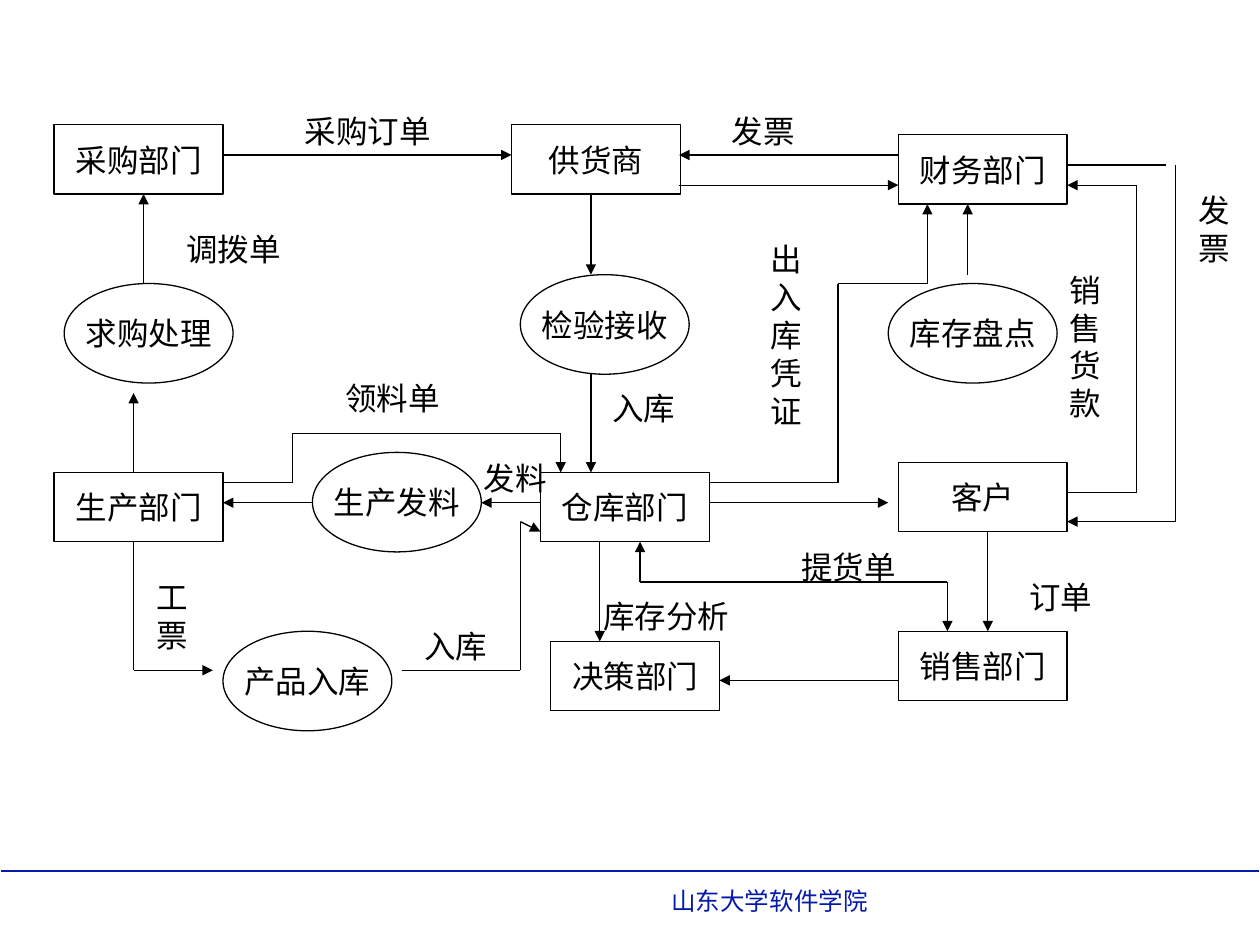
"""Build the slide with the flow of documents between a manufacturer's departments."""
from dataclasses import dataclass
from itertools import pairwise

from lxml.etree import SubElement
from pptx import Presentation
from pptx.dml.color import RGBColor
from pptx.enum.shapes import MSO_CONNECTOR, MSO_SHAPE
from pptx.enum.text import MSO_ANCHOR, PP_ALIGN
from pptx.oxml.ns import qn
from pptx.slide import Slide
from pptx.text.text import TextFrame
from pptx.util import Inches, Pt


@dataclass(frozen=True)
class Theme:
    font: str = "Arial"
    ink: RGBColor = RGBColor(0x00, 0x00, 0x00)
    accent: RGBColor = RGBColor(0x06, 0x1A, 0xAA)
    body_size: float = 18
    footer_size: float = 14
    line_width: float = 0.75
    footer_line_width: float = 1


@dataclass(frozen=True)
class Node:
    name: str
    left: float
    top: float


@dataclass(frozen=True)
class Label:
    wording: str
    left: float
    top: float
    width: float
    height: float = 0.4


@dataclass(frozen=True)
class Route:
    points: tuple[tuple[float, float], ...]
    arrow_at_end: bool = True
    arrow_at_start: bool = False


THEME = Theme()
NODE_WIDTH = 1.34
DEPARTMENT_HEIGHT = 0.55
PROCESS_HEIGHT = 0.79

DEPARTMENTS = (
    Node("采购部门", 0.43, 0.99),
    Node("供货商", 4.06, 0.99),
    Node("财务部门", 7.13, 1.07),
    Node("生产部门", 0.43, 3.75),
    Node("仓库部门", 4.29, 3.75),
    Node("客户", 7.13, 3.67),
    Node("决策部门", 4.37, 5.09),
    Node("销售部门", 7.13, 5.01),
)
PROCESSES = (
    Node("求购处理", 0.51, 2.25),
    Node("检验接收", 4.13, 2.18),
    Node("库存盘点", 7.05, 2.25),
    Node("生产发料", 2.48, 3.59),
    Node("产品入库", 1.77, 5.01),
)
ROUTES = (
    Route(((1.77, 1.23), (4.06, 1.23))),
    Route(((5.39, 1.47), (7.13, 1.47))),
    Route(((7.13, 1.23), (5.39, 1.23))),
    Route(((1.14, 2.25), (1.14, 1.54))),
    Route(((1.06, 3.75), (1.06, 3.12))),
    Route(((1.06, 4.3), (1.06, 5.32), (1.69, 5.32))),
    Route(((2.48, 3.99), (1.77, 3.99))),
    Route(((4.29, 3.99), (3.82, 3.99))),
    Route(((4.69, 1.54), (4.69, 2.18))),
    Route(((4.69, 2.96), (4.69, 3.75))),
    Route(((5.63, 3.99), (7.05, 3.99))),
    Route(((4.76, 4.3), (4.76, 5.09))),
    Route(((7.84, 4.22), (7.84, 5.01))),
    Route(((1.77, 3.83), (2.32, 3.83), (2.32, 3.44), (4.45, 3.44), (4.45, 3.75))),
    Route(((5.63, 3.83), (6.65, 3.83), (6.65, 2.25), (7.36, 2.25), (7.36, 1.62))),
    Route(((7.68, 2.18), (7.68, 1.62))),
    Route(((8.47, 3.91), (9.02, 3.91), (9.02, 1.47), (8.47, 1.47))),
    Route(((8.47, 1.31), (9.25, 1.31)), arrow_at_end=False),
    Route(((9.33, 1.31), (9.33, 4.14), (8.47, 4.14))),
    Route(((5.08, 4.3), (5.08, 4.62), (7.52, 4.62), (7.52, 5.01)), arrow_at_start=True),
    Route(((3.19, 5.32), (4.13, 5.32), (4.13, 4.14), (4.29, 4.22))),
    Route(((7.13, 5.4), (5.71, 5.4))),
)
LABELS = (
    Label("调拨单", 1.38, 1.78, 1.26),
    Label("采购订单", 2.32, 0.84, 1.5),
    Label("发票", 5.71, 0.84, 1.26),
    Label("出入库凭证", 6.02, 1.86, 0.63, 1.6),
    Label("入库", 4.76, 3.04, 0.94),
    Label("销售货款", 8.39, 2.1, 0.63, 1.3),
    Label("工票", 1.14, 4.54, 0.47, 0.7),
    Label("领料单", 2.64, 2.96, 1.34),
    Label("发料", 3.74, 3.59, 0.71),
    Label("入库", 3.27, 4.93, 0.87),
    Label("库存分析", 4.69, 4.69, 1.26),
    Label("提货单", 6.26, 4.3, 1.1),
    Label("订单", 8.07, 4.54, 1.02),
    Label("发票", 9.41, 1.47, 0.59, 0.7),
)
FOOTER_ROUTE = Route(((0.01, 6.91), (9.99, 6.91)), arrow_at_end=False)
FOOTER = Label("山东大学软件学院", 5.23, 6.98, 4.33, 0.34)


def write(frame: TextFrame, wording: str, size: float, color: RGBColor) -> None:
    """Put one styled paragraph into a text frame."""
    frame.text = wording
    font = frame.paragraphs[0].runs[0].font
    font.name, font.size, font.color.rgb = THEME.font, Pt(size), color


def draw_node(slide: Slide, node: Node, outline: MSO_SHAPE, height: float) -> None:
    """Draw an outlined department or process with a centred name."""
    body = slide.shapes.add_shape(
        outline, Inches(node.left), Inches(node.top), Inches(NODE_WIDTH), Inches(height)
    )
    body.shadow.inherit = False
    body.fill.background()
    body.line.color.rgb = THEME.ink
    body.line.width = Pt(THEME.line_width)
    write(body.text_frame, node.name, THEME.body_size, THEME.ink)
    body.text_frame.word_wrap = False
    body.text_frame.vertical_anchor = MSO_ANCHOR.MIDDLE
    body.text_frame.paragraphs[0].alignment = PP_ALIGN.CENTER


def draw_route(slide: Slide, route: Route, color: RGBColor, width: float) -> None:
    """Draw a route as straight segments with arrowheads at its ends."""
    segments = list(pairwise(route.points))
    for index, (start, end) in enumerate(segments):
        segment = slide.shapes.add_connector(
            MSO_CONNECTOR.STRAIGHT, *(Inches(value) for value in (*start, *end))
        )
        segment.line.color.rgb = color
        segment.line.width = Pt(width)
        stroke = segment.line._get_or_add_ln()
        if route.arrow_at_start and index == 0:
            SubElement(stroke, qn("a:headEnd"), type="triangle")
        if route.arrow_at_end and index == len(segments) - 1:
            SubElement(stroke, qn("a:tailEnd"), type="triangle")
        SubElement(segment._element.spPr, qn("a:effectLst"))


def draw_label(slide: Slide, label: Label, size: float, color: RGBColor) -> None:
    """Draw a wrapping text label."""
    caption = slide.shapes.add_textbox(
        Inches(label.left), Inches(label.top), Inches(label.width), Inches(label.height)
    )
    caption.text_frame.word_wrap = True
    write(caption.text_frame, label.wording, size, color)


def main() -> None:
    """Assemble and save the slide."""
    deck = Presentation()
    deck.slide_width, deck.slide_height = Inches(10), Inches(7.5)
    slide = deck.slides.add_slide(deck.slide_layouts[6])
    draw_route(slide, FOOTER_ROUTE, THEME.accent, THEME.footer_line_width)
    draw_label(slide, FOOTER, THEME.footer_size, THEME.accent)
    for department in DEPARTMENTS:
        draw_node(slide, department, MSO_SHAPE.RECTANGLE, DEPARTMENT_HEIGHT)
    for process in PROCESSES:
        draw_node(slide, process, MSO_SHAPE.OVAL, PROCESS_HEIGHT)
    for route in ROUTES:
        draw_route(slide, route, THEME.ink, THEME.line_width)
    for label in LABELS:
        draw_label(slide, label, THEME.body_size, THEME.ink)
    deck.save("out.pptx")


if __name__ == "__main__":
    main()
